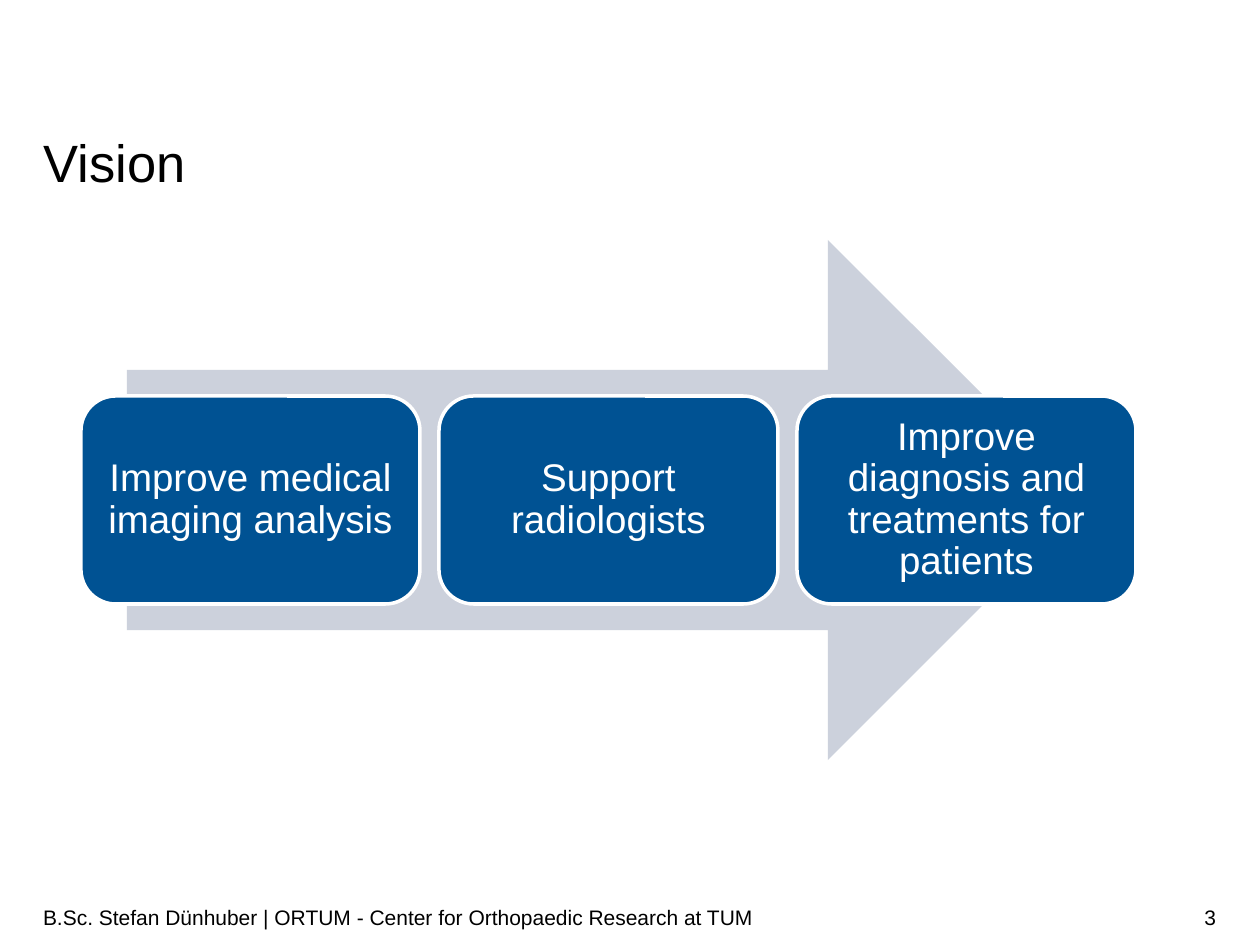
from dataclasses import dataclass

from pptx import Presentation
from pptx.dml.color import RGBColor
from pptx.enum.shapes import MSO_SHAPE as Shape
from pptx.enum.text import MSO_ANCHOR as Anchor, PP_ALIGN as Align
from pptx.util import Pt

PX_PER_INCH = 126
FONT = "Arial"
BLACK, WHITE, BLUE, GREY = "000000", "FFFFFF", "005293", "CCD1DC"


@dataclass
class Area:
    left: int
    top: int
    width: int
    height: int

    def emu(self) -> list[int]:
        return [px(n) for n in (self.left, self.top, self.width, self.height)]


@dataclass
class Label:
    text: str
    area: Area
    size: int
    align: Align = Align.LEFT
    anchor: Anchor = Anchor.MIDDLE
    line_spacing: float | Pt = 1.0
    inset_y: int = 6


def px(length: int) -> int:
    return round(length * 914400 / PX_PER_INCH)


def rgb(value: str) -> RGBColor:
    return RGBColor.from_string(value)


def write(shape, label: Label, color: str, inset_x: int) -> None:
    frame = shape.text_frame
    frame.word_wrap = True
    frame.vertical_anchor = label.anchor
    frame.margin_left = frame.margin_right = px(inset_x)
    frame.margin_top = frame.margin_bottom = px(label.inset_y)
    frame.text = label.text
    para = frame.paragraphs[0]
    para.alignment = label.align
    para.line_spacing = label.line_spacing
    for span in para.runs:
        span.font.name = FONT
        span.font.size = Pt(label.size)
        span.font.color.rgb = rgb(color)


def draw_shape(page, kind: Shape, area: Area, fill: str):
    shape = page.shapes.add_shape(kind, *area.emu())
    shape.shadow.inherit = False
    shape.fill.solid()
    shape.fill.fore_color.rgb = rgb(fill)
    shape.line.fill.background()
    return shape


def draw_step(page, label: Label) -> None:
    box = draw_shape(page, Shape.ROUNDED_RECTANGLE, label.area, BLUE)
    box.line.color.rgb = rgb(WHITE)
    box.line.width = Pt(2)
    write(box, label, WHITE, inset_x=11)


def draw_label(page, label: Label) -> None:
    box = page.shapes.add_textbox(*label.area.emu())
    write(box, label, BLACK, inset_x=0)


LABELS = [
    Label("Vision", Area(44, 137, 1173, 57), 30, anchor=Anchor.TOP,
          line_spacing=Pt(32), inset_y=0),
    Label("B.Sc. Stefan Dünhuber | ORTUM - Center for Orthopaedic Research at TUM",
          Area(43, 892, 891, 50), 12),
    Label("3", Area(934, 892, 282, 50), 12, Align.RIGHT),
]
STEPS = [
    "Improve medical imaging analysis",
    "Support radiologists",
    "Improve diagnosis and treatments for patients",
]
STEP_LEFT, STEP_TOP, STEP_WIDTH, STEP_HEIGHT, STEP_GAP = 81, 396, 339, 208, 19


def main() -> None:
    deck = Presentation()
    deck.slide_width, deck.slide_height = px(1260), px(945)
    page = deck.slides.add_slide(deck.slide_layouts[6])

    # Title and footer
    for label in LABELS:
        draw_label(page, label)

    # Arrow behind the steps
    draw_shape(page, Shape.RIGHT_ARROW, Area(127, 240, 961, 520), GREY)

    # Steps in a row
    for index, text in enumerate(STEPS):
        left = STEP_LEFT + index * (STEP_WIDTH + STEP_GAP)
        area = Area(left, STEP_TOP, STEP_WIDTH, STEP_HEIGHT)
        draw_step(page, Label(text, area, 22, Align.CENTER,
                              line_spacing=0.9, inset_y=11))

    deck.save("out.pptx")


if __name__ == "__main__":
    main()
